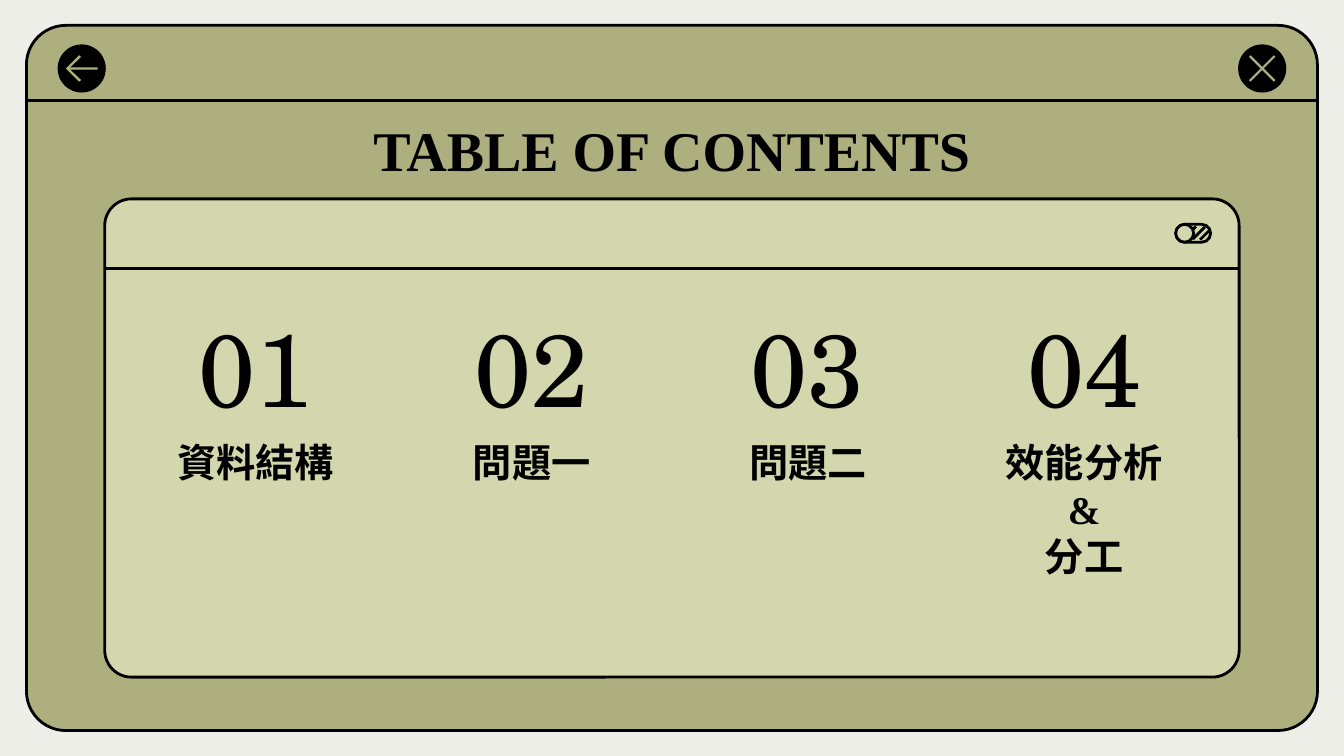
from dataclasses import dataclass

from lxml.etree import SubElement
from pptx import Presentation
from pptx.dml.color import RGBColor
from pptx.enum.shapes import MSO_CONNECTOR as Connector, MSO_SHAPE as Shape
from pptx.enum.text import MSO_ANCHOR as Anchor, MSO_AUTO_SIZE as AutoSize, PP_ALIGN as Align
from pptx.oxml.ns import qn
from pptx.util import Cm, Pt


@dataclass(frozen=True)
class Theme:
    background: str = "EEEEE9"
    window: str = "ADAF7E"
    panel: str = "D4D7AD"
    ink: str = "000000"
    text_font: str = "Times New Roman"
    number_font: str = "TeX Gyre Schola"
    title_size: float = 30
    number_size: float = 55
    label_size: float = 21
    line_width: float = 1.5


@dataclass(frozen=True)
class Box:
    left: float
    top: float
    width: float
    height: float

    def lengths(self):
        return Cm(self.left), Cm(self.top), Cm(self.width), Cm(self.height)


THEME = Theme()
CORNER = 0.056
BUTTON_SIZE = 0.91
ARROW = [(-5, -25), (-30, 0), (-5, 25), (-1, 22), (-22, 2),
         (30, 2), (30, -2), (-22, -2), (-1, -22)]
CROSS_ARM = [(-22, -25), (-25, -22), (-3, 0)]
CROSS = (CROSS_ARM + [(y, -x) for x, y in CROSS_ARM]
         + [(-x, -y) for x, y in CROSS_ARM] + [(-y, x) for x, y in CROSS_ARM])
STRIPES = [(0.38, 0.04, 0.3, 0.12), (0.55, 0.05, 0.32, 0.28), (0.64, 0.11, 0.46, 0.29)]
CONTENTS = [("01", "資料結構", 0), ("02", "問題一", 0), ("03", "問題二", 0),
            ("04", "效能分析\n&\n分工", 1.78)]


def color(value):
    return RGBColor.from_string(value)


def paint(shape, fill=None, line=None):
    shape.shadow.inherit = False
    if fill:
        shape.fill.solid()
        shape.fill.fore_color.rgb = color(fill)
    else:
        shape.fill.background()
    if line:
        shape.line.color.rgb = color(line)
        shape.line.width = Pt(THEME.line_width)
    else:
        shape.line.fill.background()


def add_shape(slide, kind, box, **colors):
    shape = slide.shapes.add_shape(kind, *box.lengths())
    paint(shape, **colors)
    return shape


def add_line(slide, x1, y1, x2, y2):
    line = slide.shapes.add_connector(Connector.STRAIGHT, Cm(x1), Cm(y1), Cm(x2), Cm(y2))
    line.line.color.rgb = color(THEME.ink)
    line.line.width = Pt(THEME.line_width)
    SubElement(line.element.spPr, qn("a:effectLst"))


def write(shape, text, box, *, font, size, bold=False, anchor=Anchor.MIDDLE, spacing=1.0):
    shape.left, shape.top, shape.width, shape.height = box.lengths()
    shape.element.getparent().append(shape.element)
    frame = shape.text_frame
    frame.word_wrap = True
    frame.auto_size = AutoSize.NONE
    frame.vertical_anchor = anchor
    frame.margin_left = frame.margin_right = Cm(0.25)
    frame.margin_top = frame.margin_bottom = Cm(0.25)
    paragraph = frame.paragraphs[0]
    paragraph.text = text
    paragraph.alignment = Align.CENTER
    paragraph.line_spacing = spacing
    paragraph.space_before = Pt(0)
    properties = paragraph._p.get_or_add_pPr()
    properties.set("marL", "0")
    properties.set("indent", "0")
    SubElement(properties, qn("a:buNone"))
    for run in paragraph.runs:
        run.font.name = font
        run.font.size = Pt(size)
        run.font.bold = bold
        run.font.color.rgb = color(THEME.ink)


def add_frame(slide, box, header, fill):
    frame = add_shape(slide, Shape.ROUNDED_RECTANGLE, box, fill=fill, line=THEME.ink)
    frame.adjustments[0] = CORNER
    divider = box.top + header
    add_line(slide, box.left + 0.03, divider, box.left + box.width, divider)


def add_button(slide, box, symbol):
    add_shape(slide, Shape.OVAL, box, fill=THEME.ink)
    builder = slide.shapes.build_freeform(*symbol[0], scale=Cm(0.01))
    builder.add_line_segments(symbol[1:], close=True)
    glyph = builder.convert_to_shape(Cm(box.left + box.width / 2), Cm(box.top + box.height / 2))
    paint(glyph, fill=THEME.window)


def add_toggle(slide, box):
    pill = add_shape(slide, Shape.ROUNDED_RECTANGLE, box, line=THEME.ink)
    pill.adjustments[0] = 0.5
    for x1, y1, x2, y2 in STRIPES:
        add_line(slide, box.left + x1, box.top + y1, box.left + x2, box.top + y2)
    knob = Box(box.left, box.top, box.height, box.height)
    add_shape(slide, Shape.OVAL, knob, fill=THEME.panel, line=THEME.ink)


def add_window(slide, box):
    add_frame(slide, box, 1.42, THEME.window)
    margin = 0.59
    top = box.top + 0.36
    right = box.left + box.width - margin - BUTTON_SIZE
    add_button(slide, Box(box.left + margin, top, BUTTON_SIZE, BUTTON_SIZE), ARROW)
    add_button(slide, Box(right, top, BUTTON_SIZE, BUTTON_SIZE), CROSS)


def add_contents(slide, box, labels):
    add_frame(slide, box, 1.32, THEME.panel)
    add_toggle(slide, Box(box.left + box.width - 1.2, box.top + 0.48, 0.66, 0.34))
    width, pitch = 4.88, 5.22
    for index, ((number, label, drop), placeholder) in enumerate(zip(CONTENTS, labels)):
        left = box.left + 0.41 + index * pitch
        number_box = Box(left, box.top + 2.16, width, 2.03)
        label_box = Box(left, box.top + 4.55 + drop, width, 1.12)
        write(slide.shapes.add_textbox(*number_box.lengths()), number, number_box,
              font=THEME.number_font, size=THEME.number_size)
        write(placeholder, label, label_box, font=THEME.text_font, size=THEME.label_size,
              bold=True, anchor=Anchor.BOTTOM)


def main():
    presentation = Presentation()
    presentation.slide_width, presentation.slide_height = Cm(25.4), Cm(14.29)
    slide = presentation.slides.add_slide(presentation.slide_layouts.get_by_name("Comparison"))
    slide.background.fill.solid()
    slide.background.fill.fore_color.rgb = color(THEME.background)
    title, *labels = list(slide.placeholders)

    add_window(slide, Box(0.5, 0.48, 24.4, 13.33))
    add_contents(slide, Box(1.98, 3.76, 21.44, 9.04), labels)
    write(title, "TABLE OF CONTENTS", Box(1.98, 2.18, 21.44, 1.58), font=THEME.text_font,
          size=THEME.title_size, bold=True, spacing=0.7)
    presentation.save("out.pptx")


if __name__ == "__main__":
    main()
